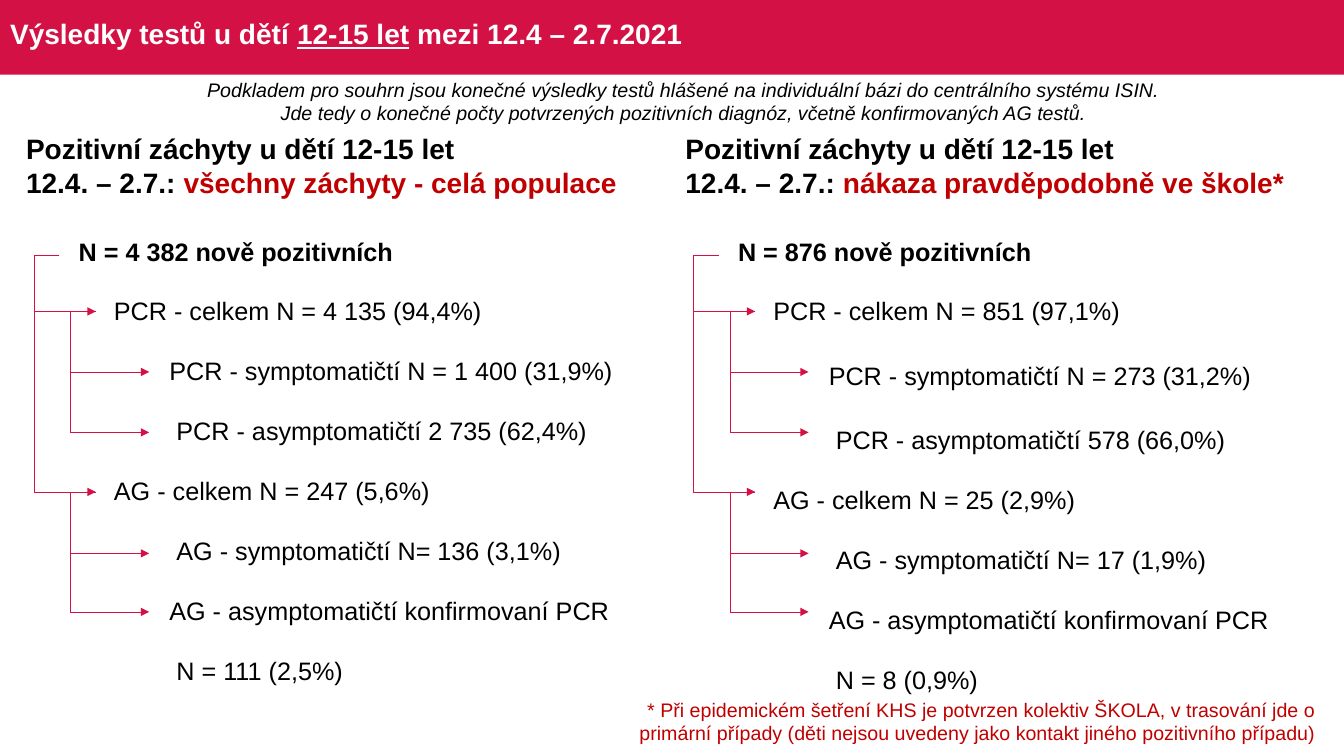
from lxml import etree
from pptx import Presentation
from pptx.dml.color import RGBColor
from pptx.enum.shapes import MSO_CONNECTOR as Connector, MSO_SHAPE as Shape
from pptx.enum.text import MSO_ANCHOR as Anchor, PP_ALIGN as Align
from pptx.oxml.ns import qn
from pptx.util import Inches, Pt

CRIMSON, RED, BLACK, WHITE = "D31145", "C00000", "000000", "FFFFFF"


def rgb(value):
    return RGBColor.from_string(value)


def write(para, text, color, **formats):
    span = para.add_run()
    span.text = text
    span.font.color.rgb = rgb(color)
    for name, value in {"name": "Arial", **formats}.items():
        setattr(span.font, name, value)


deck = Presentation()
deck.slide_width, deck.slide_height = Inches(13.33), Inches(7.5)
page = deck.slides.add_slide(deck.slide_layouts[5])
shapes = page.shapes

title = shapes.title
title.left, title.top, title.width, title.height = map(Inches, (0, 0.04, 13.15, 0.63))
title.text_frame.vertical_anchor = Anchor.MIDDLE
title_para = title.text_frame.paragraphs[0]
title_para.alignment = Align.LEFT
title_para.line_spacing = 0.9
for text, underline in [
    ("Výsledky testů u dětí ", False),
    ("12-15 let", True),
    (" mezi 12.4 – 2.7.2021", False),
]:
    write(title_para, text, WHITE, size=Pt(20), bold=True, underline=underline)

banner = shapes.add_shape(Shape.RECTANGLE, 0, 0, deck.slide_width, Inches(0.74))
banner.shadow.inherit = False
banner.fill.solid()
banner.fill.fore_color.rgb = rgb(CRIMSON)
banner.line.fill.background()
title.element.addprevious(banner.element)

indents = [0.01, 0.36, 0.91, 0.98, 0.36, 0.98, 0.91, 0.98]
panels = [
    {
        "heading_left": 0.16, "table_left": 0.77, "tree_left": 0.34, "third_row": 0.595,
        "scope": "všechny záchyty - celá populace",
        "rows": [
            "N = 4 382 nově pozitivních",
            "PCR - celkem N = 4 135 (94,4%)",
            "PCR - symptomatičtí N = 1 400 (31,9%)",
            "PCR - asymptomatičtí 2 735 (62,4%)",
            "AG - celkem N = 247 (5,6%)",
            "AG - symptomatičtí N= 136 (3,1%)",
            "AG - asymptomatičtí konfirmovaní PCR",
            "N = 111 (2,5%)",
        ],
    },
    {
        "heading_left": 6.7, "table_left": 7.31, "tree_left": 6.88, "third_row": 0.68,
        "scope": "nákaza pravděpodobně ve škole*",
        "rows": [
            "N = 876 nově pozitivních",
            "PCR - celkem N = 851 (97,1%)",
            "PCR - symptomatičtí N = 273 (31,2%)",
            "PCR - asymptomatičtí 578 (66,0%)",
            "AG - celkem N = 25 (2,9%)",
            "AG - symptomatičtí N= 17 (1,9%)",
            "AG - asymptomatičtí konfirmovaní PCR",
            "N = 8 (0,9%)",
        ],
    },
]
bend = 0.25
branches = [
    (0.25, 2.53, 0.36, 4.88),
    (0.25, 2.53, 0.36, 3.09),
    (0.61, 3.09, 0.53, 3.69),
    (0.61, 3.09, 0.53, 4.29),
    (0.61, 4.88, 0.53, 5.49),
    (0.61, 4.88, 0.53, 6.07),
]

for panel in panels:
    rows = panel["rows"]
    frame = shapes.add_table(
        len(rows), 1, Inches(panel["table_left"]), Inches(2.2), Inches(6.01), Inches(4.76)
    )
    table = frame.table
    table.first_row = table.horz_banding = False
    table.rows[2].height = Inches(panel["third_row"])
    for index, (text, indent) in enumerate(zip(rows, indents)):
        cell = table.cell(index, 0)
        cell.fill.background()
        cell.vertical_anchor = Anchor.MIDDLE
        cell.margin_left = Inches(indent)
        cell.margin_top = cell.margin_right = Inches(0.01)
        cell.margin_bottom = 0
        write(cell.text_frame.paragraphs[0], text, BLACK, size=Pt(18), bold=index == 0)

    heading = shapes.add_textbox(
        Inches(panel["heading_left"]), Inches(1.26), Inches(6.34), Inches(0.77)
    ).text_frame
    heading.word_wrap = True
    bold = {"size": Pt(20), "bold": True}
    write(heading.paragraphs[0], "Pozitivní záchyty u dětí 12-15 let", BLACK, **bold)
    period = heading.add_paragraph()
    write(period, "12.4. – 2.7.: ", BLACK, **bold)
    write(period, panel["scope"], RED, **bold)

    for offset, top, width, bottom in branches:
        left = panel["tree_left"] + offset
        branch = shapes.add_connector(
            Connector.ELBOW, Inches(left), Inches(top), Inches(left + width), Inches(bottom)
        )
        branch.line.color.rgb = rgb(CRIMSON)
        branch.line.width = Pt(0.5)
        etree.SubElement(branch.line._get_or_add_ln(), qn("a:tailEnd"), type="triangle")
        properties = branch.element.spPr
        etree.SubElement(properties, qn("a:effectLst"))
        guides = properties.find(qn("a:prstGeom")).find(qn("a:avLst"))
        share = round(-bend / width * 100000)
        etree.SubElement(guides, qn("a:gd"), name="adj1", fmla=f"val {share}")

notes = [
    ((1.79, 0.72, 9.98, 0.57), Align.CENTER, BLACK, True, [
        "Podkladem pro souhrn jsou konečné výsledky testů hlášené na individuální bázi "
        "do centrálního systému ISIN.",
        "Jde tedy o konečné počty potvrzených pozitivních diagnóz, "
        "včetně konfirmovaných AG testů.",
    ]),
    ((6.2, 6.87, 6.95, 0.57), Align.RIGHT, RED, False, [
        "* Při epidemickém šetření KHS je potvrzen kolektiv ŠKOLA, v trasování jde o "
        "primární případy (děti nejsou uvedeny jako kontakt jiného pozitivního případu)",
    ]),
]
for place, alignment, color, italic, lines in notes:
    box = shapes.add_textbox(*map(Inches, place)).text_frame
    box.word_wrap = True
    for index, text in enumerate(lines):
        para = box.add_paragraph() if index else box.paragraphs[0]
        para.alignment = alignment
        write(para, text, color, size=Pt(14), italic=italic)

deck.save("out.pptx")
